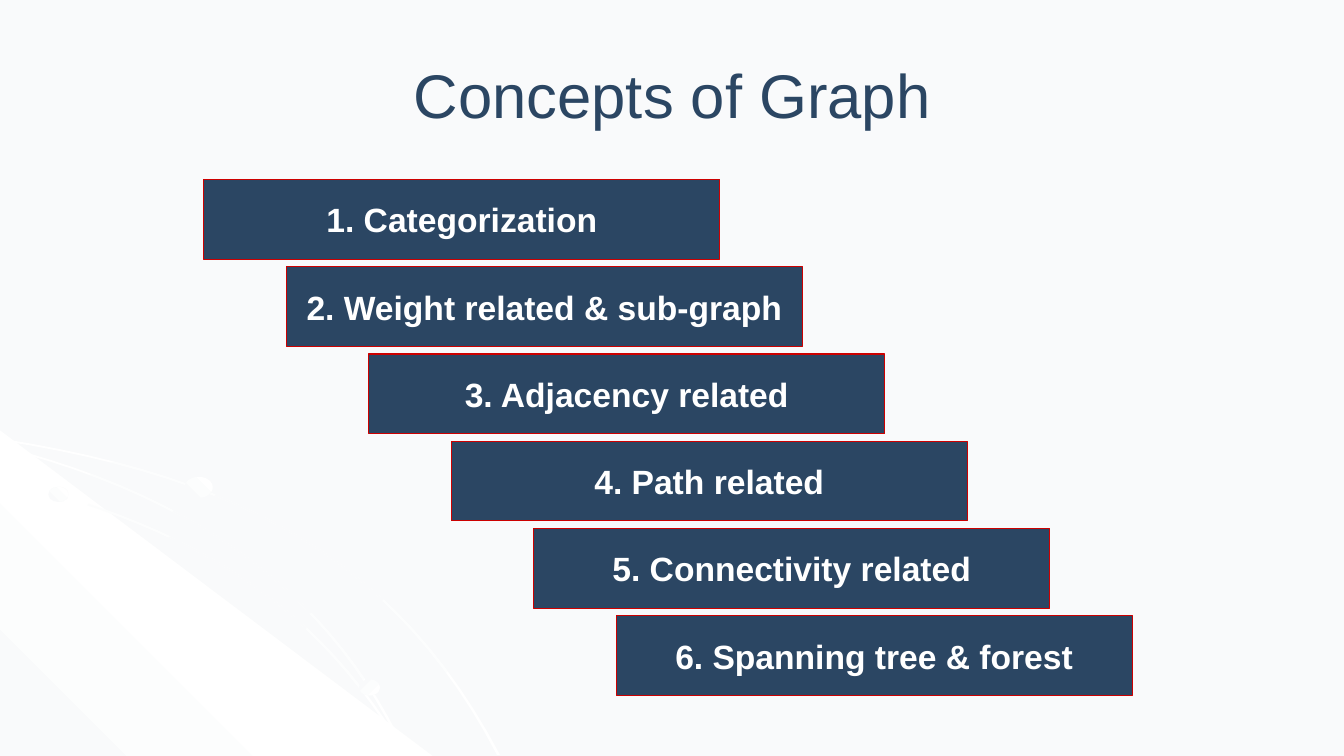
from copy import deepcopy
from math import comb

from pptx import Presentation
from pptx.dml.color import RGBColor
from pptx.enum.shapes import MSO_SHAPE as Preset
from pptx.enum.text import MSO_ANCHOR as Anchor, PP_ALIGN as Align
from pptx.oxml.ns import qn
from pptx.util import Inches, Pt

NAVY, RED, WHITE, PALE = "2B4663", "CC0000", "FFFFFF", "F9FAFB"
RISING, FALLING = 45, 315
TITLE_FORMAT = {"name": "Arial", "size": Pt(44), "bold": False}
STEP_FORMAT = {"name": "Arial", "size": Pt(24), "bold": True}

STEPS = [
    "1. Categorization",
    "2. Weight related & sub-graph",
    "3. Adjacency related",
    "4. Path related",
    "5. Connectivity related",
    "6. Spanning tree & forest",
]
FIRST_LEFT, FIRST_TOP = 2.02, 1.78
LAST_LEFT, LAST_TOP = 6.11, 6.11
STEP_WIDTH, STEP_HEIGHT = 5.12, 0.79

STEM_CURVES = {
    "outer": [(0, 4.35), (2.44, 4.73), (3.96, 5.59), (4.96, 7.49)],
    "inner": [(0, 4.75), (2.02, 5.23), (3.19, 6.05), (4.04, 7.49)],
    "middle": [(0, 4.42), (2.05, 4.94), (3.35, 5.97), (4.04, 7.49)],
}
STEM_SEGMENTS = 24
STEM_DROP, STEM_INSET = 0.02, 0.03

CORNER = (0, 4.27, 4.29, 3.23)
BUDS = [
    (0.48, 4.83, 0.2, 0.15, RISING),
    (3.56, 6.74, 0.21, 0.16, FALLING),
    (1.83, 4.73, 0.28, 0.21, RISING),
]


def color(value):
    return RGBColor.from_string(value)


def shade(shape, stops, angle):
    shape.shadow.inherit = False
    shape.line.fill.background()
    shape.fill.gradient()
    shape.fill.gradient_angle = angle
    stop_list = next(shape._element.spPr.iter(qn("a:gs"))).getparent()
    for _ in stops[2:]:
        stop_list.append(deepcopy(stop_list[0]))
    for index, (stop, value) in enumerate(zip(shape.fill.gradient_stops, stops)):
        stop.position = index / (len(stops) - 1)
        stop.color.rgb = color(value)


presentation = Presentation()
presentation.slide_width, presentation.slide_height = Inches(13.33), Inches(7.5)
slide = presentation.slides.add_slide(presentation.slide_layouts[5])
slide.background.fill.solid()
slide.background.fill.fore_color.rgb = color(PALE)
shapes = slide.shapes

corner = shapes.add_shape(Preset.RIGHT_TRIANGLE, *map(Inches, CORNER))
shade(corner, [PALE, WHITE, PALE], RISING)

for upper_controls in STEM_CURVES.values():
    degree = len(upper_controls) - 1
    lower_controls = [
        (x - STEM_INSET * order / degree, y + STEM_DROP * (1 - order / degree))
        for order, (x, y) in enumerate(upper_controls)
    ]
    edges = []
    for controls in (upper_controls, lower_controls):
        edge = []
        for segment in range(STEM_SEGMENTS + 1):
            t = segment / STEM_SEGMENTS
            weights = [
                comb(degree, order) * t**order * (1 - t) ** (degree - order)
                for order in range(degree + 1)
            ]
            edge.append([
                Inches(sum(weight * value for weight, value in zip(weights, axis)))
                for axis in zip(*controls)
            ])
        edges.append(edge)
    upper_edge, lower_edge = edges
    outline = upper_edge + lower_edge[::-1]
    builder = shapes.build_freeform(*outline[0], scale=1.0)
    builder.add_line_segments(outline[1:], close=True)
    shade(builder.convert_to_shape(), [WHITE, PALE, WHITE], FALLING)

for *bounds, angle in BUDS:
    bud = shapes.add_shape(Preset.OVAL, *map(Inches, bounds))
    shade(bud, [PALE, WHITE], angle)

title = shapes.title
title.left, title.top, title.width, title.height = map(Inches, (0.67, 0.31, 12, 1.25))
title.text_frame.text = "Concepts of Graph"
title.text_frame.vertical_anchor = Anchor.MIDDLE
title_paragraph = title.text_frame.paragraphs[0]
title_paragraph.alignment = Align.CENTER
title_font = title_paragraph.runs[0].font
for name, value in TITLE_FORMAT.items():
    setattr(title_font, name, value)
title_font.color.rgb = color(NAVY)
shapes._spTree.append(title._element)

gaps = len(STEPS) - 1
column = (LAST_LEFT - FIRST_LEFT) / gaps
row = (LAST_TOP - FIRST_TOP) / gaps
for index, text in enumerate(STEPS):
    bounds = (FIRST_LEFT + index * column, FIRST_TOP + index * row, STEP_WIDTH, STEP_HEIGHT)
    step = shapes.add_shape(Preset.RECTANGLE, *map(Inches, bounds))
    step.shadow.inherit = False
    step.fill.solid()
    step.fill.fore_color.rgb = color(NAVY)
    step.line.color.rgb = color(RED)
    step.line.width = Pt(0.75)
    frame = step.text_frame
    frame.text = text
    frame.word_wrap = False
    frame.vertical_anchor = Anchor.MIDDLE
    paragraph = frame.paragraphs[0]
    paragraph.alignment = Align.CENTER
    font = paragraph.runs[0].font
    for name, value in STEP_FORMAT.items():
        setattr(font, name, value)
    font.color.rgb = color(WHITE)

presentation.save("out.pptx")
